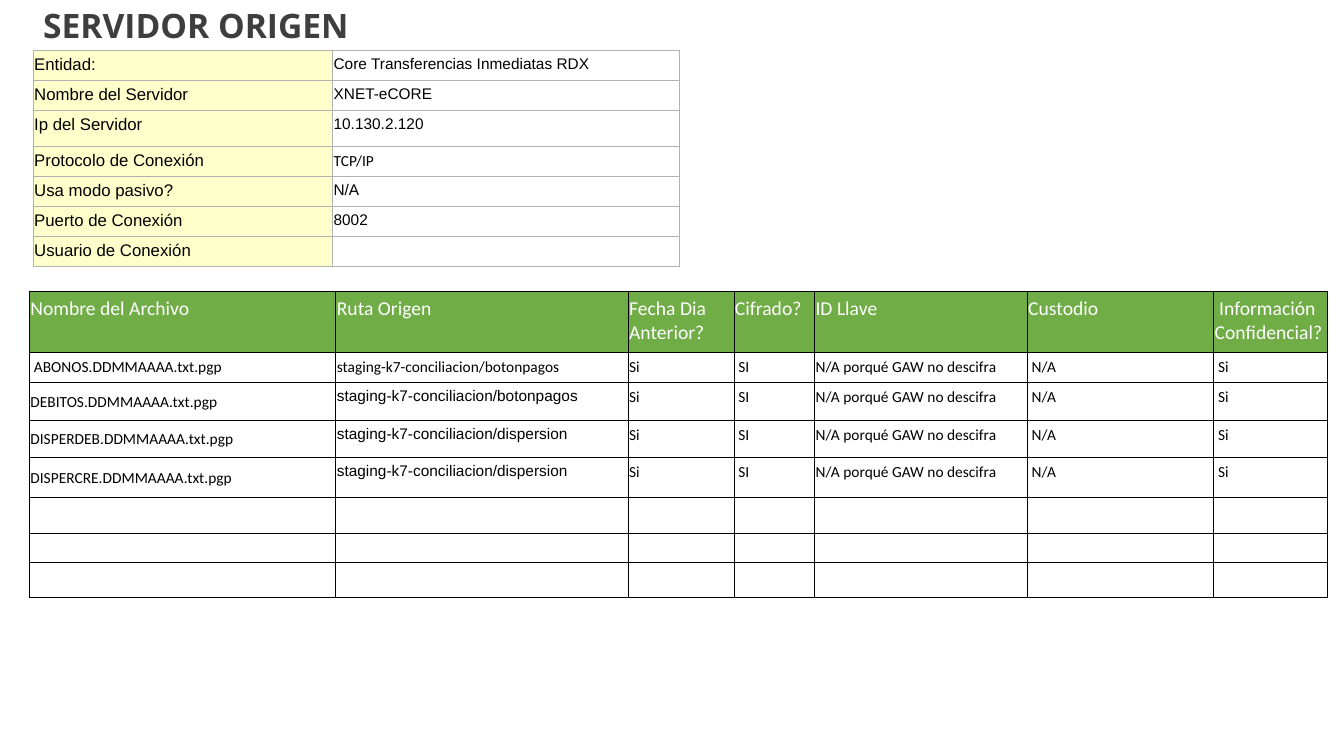
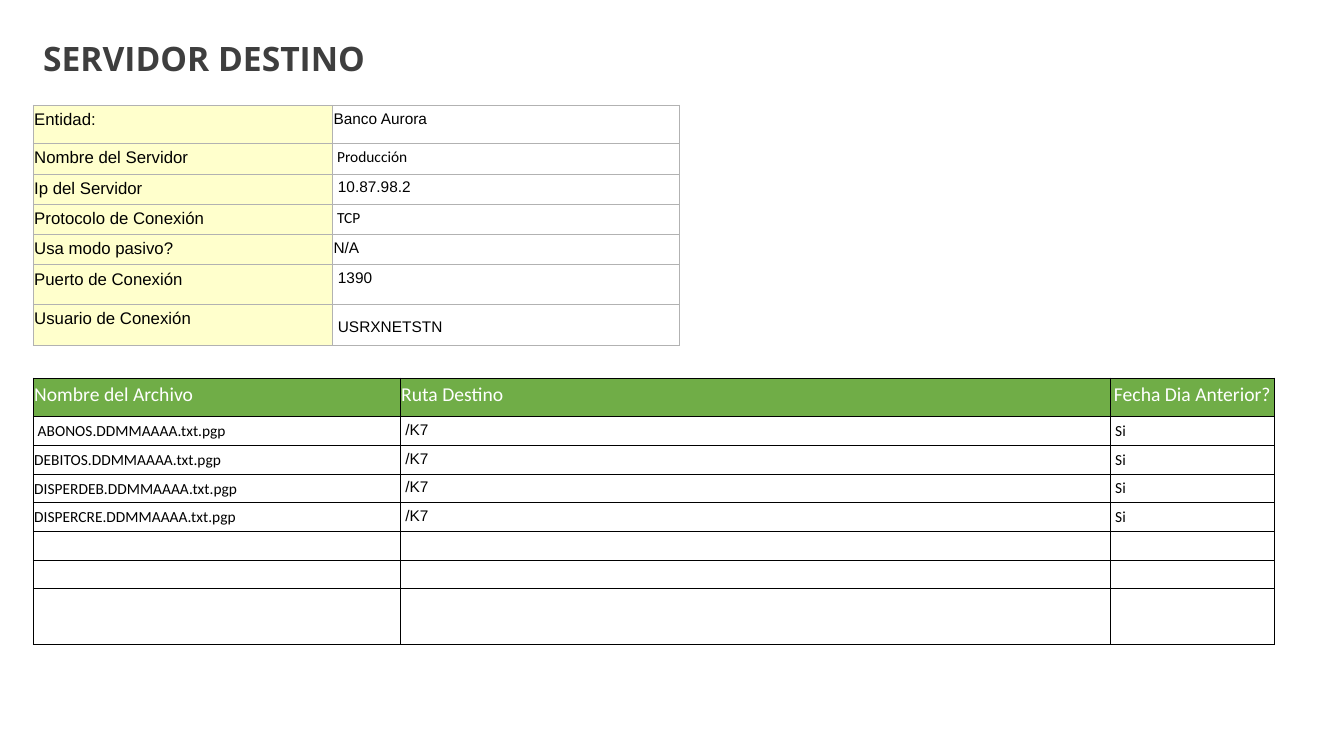
import pptx
import pptx.util
import pptx.dml.color
import pptx.enum.text
from lxml import etree

Pt = pptx.util.Pt
RGBColor = pptx.dml.color.RGBColor
ANCHOR = pptx.enum.text.MSO_ANCHOR
ALIGN = pptx.enum.text.PP_ALIGN

# Shared style
CREAM = RGBColor(0xFF, 0xFF, 0xCC)
GREEN = RGBColor(0x70, 0xAD, 0x47)
GREY = RGBColor(0xB2, 0xB2, 0xB2)
CHARCOAL = RGBColor(0x3E, 0x3E, 0x3E)
BLACK = RGBColor(0, 0, 0)
WHITE = RGBColor(0xFF, 0xFF, 0xFF)
SANS, BODY, HEADING = "Arial", "Calibri", "Open Sans"
LEFT = 23.76
SIDE, PAD = 0.72, 3.6
LINE_WIDTH = 0.51
INFO_WIDTHS = (213.84, 247.68)
EMPTY_ROWS = 3
NBSP = "\u00a0"

# Content: labels shared by both slides
LABELS = ("Entidad:", "Nombre del Servidor", "Ip del Servidor",
          "Protocolo de Conexión", "Usa modo pasivo?",
          "Puerto de Conexión", "Usuario de Conexión")
FILES = (NBSP + "ABONOS", "DEBITOS", "DISPERDEB", "DISPERCRE")
SUFFIX = ".DDMMAAAA.txt.pgp"

# Content: server values are (text, font, top margin)
SERVERS = [
    {
        "title": "SERVIDOR ORIGEN", "title_top": 0, "title_width": 273.6,
        "info_top": 36, "info_heights": (21.5, 21.5, 25.5, 21.5, 21.5, 21.5, 21.5),
        "values": [("Core Transferencias Inmediatas RDX", SANS, PAD),
                   ("XNET-eCORE", SANS, PAD), ("10.130.2.120", SANS, PAD),
                   ("TCP/IP", BODY, PAD), ("N/A", SANS, PAD),
                   ("8002", SANS, PAD), ("", SANS, PAD)],
        "files_left": 21, "files_top": 208.2,
        "files_widths": (218.88, 208.8, 75.6, 57.6, 151.92, 133.2, 81.36),
        "files_heights": (43.5, 21.5, 27, 26.5, 28.5, 25.5, 20, 25.5),
        "headers": ("Nombre del Archivo", "Ruta Origen", "Fecha Dia Anterior?",
                    "Cifrado?", "ID Llave", "Custodio",
                    " Información Confidencial?"),
        "header_aligns": {},
        "routes": [("staging-k7-conciliacion/botonpagos", BODY),
                   ("staging-k7-conciliacion/botonpagos", SANS),
                   ("staging-k7-conciliacion/dispersion", SANS),
                   ("staging-k7-conciliacion/dispersion", SANS)],
        "details": ("Si" + NBSP, NBSP + "SI", "N/A porqué GAW no descifra",
                    NBSP + "N/A", NBSP + "Si"),
    },
    {
        "title": "SERVIDOR DESTINO", "title_top": 23.76, "title_width": 288.72,
        "info_top": 75.2, "info_heights": (27, 22, 21.5, 21.5, 21.5, 28.5, 29.25),
        "values": [("Banco Aurora", SANS, PAD), (NBSP + "Producción", BODY, PAD),
                   (" 10.87.98.2", SANS, PAD), (NBSP + "TCP", BODY, PAD),
                   ("N/A", SANS, PAD), (NBSP + "1390", SANS, PAD),
                   (NBSP + "USRXNETSTN", SANS, 9.7)],
        "files_left": LEFT, "files_top": 270,
        "files_widths": (262.08, 507.6, 116.64),
        "files_heights": (27.5,) + (20.5,) * 6 + (40,),
        "headers": ("Nombre del Archivo", "Ruta Destino", "Fecha Dia Anterior?"),
        "header_aligns": {2: ALIGN.CENTER},
        "routes": [(NBSP + "/K7", SANS)] * len(FILES),
        "details": (NBSP + "Si",),
    },
]


def write(frame, text, font=BODY, size=11, color=BLACK, bold=False, align=ALIGN.LEFT):
    para = frame.paragraphs[0]
    para.alignment = align
    if not text:
        para._p.get_or_add_endParaRPr().set("sz", str(size * 100))
        return
    span = para.add_run()
    span.text = text
    span.font.name = font
    span.font.size = Pt(size)
    span.font.bold = bold
    span.font.color.rgb = color


def add_borders(cell, color):
    properties = cell._tc.get_or_add_tcPr()
    for edge in ("lnL", "lnR", "lnT", "lnB"):
        line = etree.SubElement(properties, pptx.oxml.ns.qn("a:" + edge),
                                w=str(int(Pt(LINE_WIDTH))))
        fill = etree.SubElement(line, pptx.oxml.ns.qn("a:solidFill"))
        etree.SubElement(fill, pptx.oxml.ns.qn("a:srgbClr"), val=str(color))


def add_grid(page, left, top, widths, heights, border):
    holder = page.shapes.add_table(len(heights), len(widths), Pt(left), Pt(top),
                                   Pt(sum(widths)), Pt(sum(heights)))
    grid = holder.table
    grid.first_row = grid.horz_banding = False
    for column, width in zip(grid.columns, widths):
        column.width = Pt(width)
    for row, height in zip(grid.rows, heights):
        row.height = Pt(height)
    for cell in grid.iter_cells():
        cell.margin_left = cell.margin_right = Pt(SIDE)
        cell.margin_top = cell.margin_bottom = Pt(PAD)
        add_borders(cell, border)
        cell.fill.background()
    return grid


def paint(cell, color):
    cell.fill.solid()
    cell.fill.fore_color.rgb = color


def add_title(page, server):
    box = page.shapes.add_textbox(Pt(LEFT), Pt(server["title_top"]),
                                  Pt(server["title_width"]), Pt(36))
    box.text_frame.word_wrap = False
    write(box.text_frame, server["title"], font=HEADING, size=24,
          color=CHARCOAL, bold=True)


def add_info(page, server):
    grid = add_grid(page, LEFT, server["info_top"], INFO_WIDTHS,
                    server["info_heights"], GREY)
    for index, (label, value) in enumerate(zip(LABELS, server["values"])):
        label_cell, value_cell = grid.cell(index, 0), grid.cell(index, 1)
        paint(label_cell, CREAM)
        write(label_cell.text_frame, label, font=SANS, size=12)
        text, font, top = value
        value_cell.margin_top = Pt(top)
        write(value_cell.text_frame, text, font=font)


def add_files(page, server):
    grid = add_grid(page, server["files_left"], server["files_top"],
                    server["files_widths"], server["files_heights"], BLACK)
    for column, header in enumerate(server["headers"]):
        cell = grid.cell(0, column)
        paint(cell, GREEN)
        write(cell.text_frame, header, size=14, color=WHITE,
              align=server["header_aligns"].get(column, ALIGN.LEFT))

    # File rows, then the empty ones
    details = [(text, BODY) for text in server["details"]]
    rows = [[(name + SUFFIX, BODY), route] + details
            for name, route in zip(FILES, server["routes"])]
    rows += [[("", BODY)] * len(server["headers"])] * EMPTY_ROWS
    for index, row in enumerate(rows, 1):
        for column, (text, font) in enumerate(row):
            write(grid.cell(index, column).text_frame, text, font=font)

    # Names after the first are centred vertically
    for index in range(2, len(FILES) + 1):
        cell = grid.cell(index, 0)
        cell.vertical_anchor = ANCHOR.MIDDLE
        cell.margin_top, cell.margin_bottom = Pt(SIDE), Pt(0)


# Build the deck
deck = pptx.Presentation()
deck.slide_width, deck.slide_height = Pt(960), Pt(540)
for server in SERVERS:
    page = deck.slides.add_slide(deck.slide_layouts[6])
    add_info(page, server)
    add_files(page, server)
    add_title(page, server)
deck.save("out.pptx")
